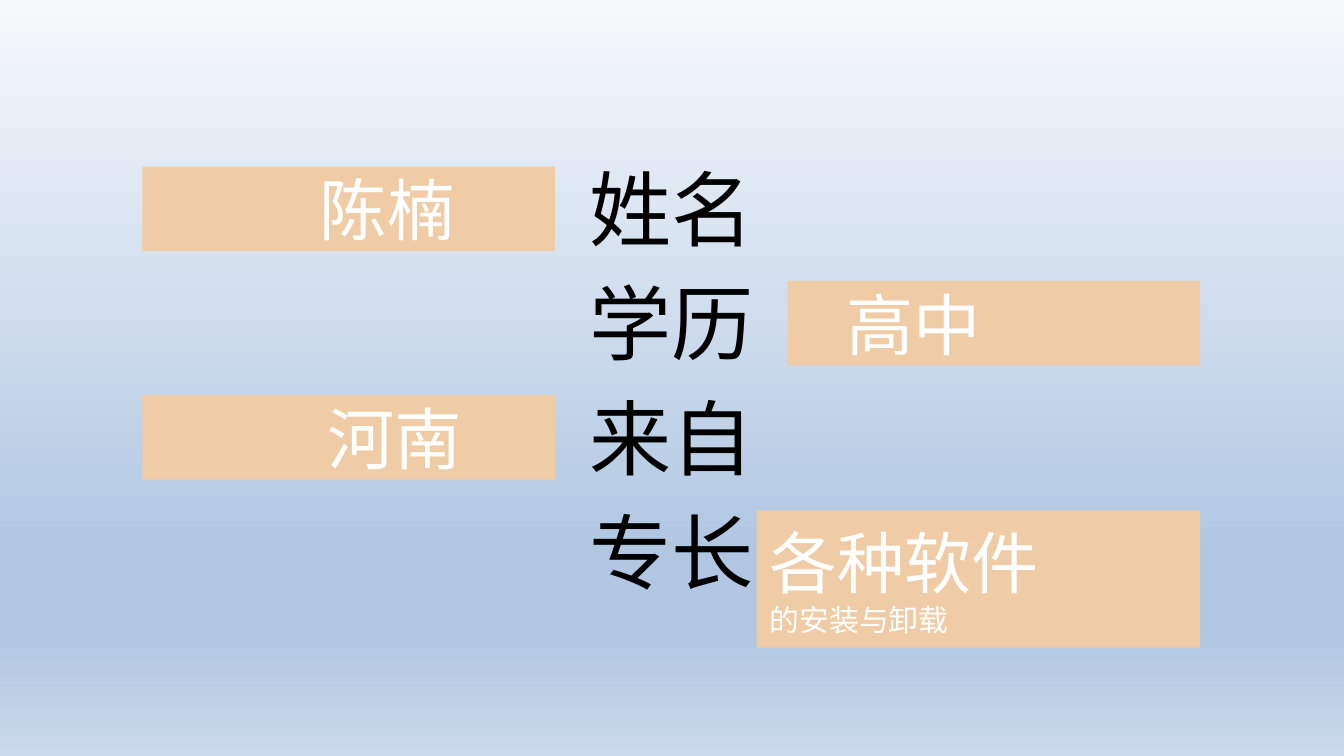
from dataclasses import dataclass

import pptx
import pptx.dml.color
import pptx.enum.shapes
import pptx.enum.text
import pptx.oxml
import pptx.oxml.ns
import pptx.slide
import pptx.text.text
import pptx.util
from lxml import etree

Inches = pptx.util.Inches
Align = pptx.enum.text.PP_ALIGN
qn = pptx.oxml.ns.qn

COLORS = {"panel": "EFCCA5", "answer": "FFFFFF", "label": "000000"}
BACKGROUND_STOPS = {0: "F6F9FC", 74: "B0C6E1", 83: "B0C6E1", 100: "CAD9EB"}
CJK_FONT = "Noto Sans CJK JP"
INSET = 0.1
LABEL_LEFT, LABEL_TOP, LABEL_PITCH = 4.29, 1.13, 0.85


@dataclass
class Answer:
    lines: list[tuple[str, int]]  # text and point size
    left: float
    top: float
    width: float = 3.07
    height: float = 0.63
    indent: float = 0
    align: Align = Align.LEFT


LABELS = ["姓名", "学历", "来自", "专长"]
ANSWERS = [
    Answer([("各种软件", 36), ("的安装与卸载", 16)], 5.63, 3.8, 3.3, 1.02),
    Answer([("河南", 36)], 1.06, 2.94, indent=0.68, align=Align.CENTER),
    Answer([("高中", 36)], 5.86, 2.09, indent=0.34),
    Answer([("陈楠", 36)], 1.06, 1.24, indent=0.57, align=Align.CENTER),
]


def paint_background(slide: pptx.slide.Slide) -> None:
    fill = slide.background.fill
    fill.gradient()
    fill.gradient_angle = 270  # top to bottom
    stops = slide.element.find(".//" + qn("a:gsLst"))
    for stop in list(stops):
        stops.remove(stop)
    for percent, color in BACKGROUND_STOPS.items():
        stop = etree.SubElement(stops, qn("a:gs"), pos=str(percent * 1000))
        etree.SubElement(stop, qn("a:srgbClr"), val=color)


def add_run(paragraph: pptx.text.text._Paragraph, text: str, size: int,
            font: str, color: str) -> None:
    run = paragraph.add_run()
    run.text = text
    run.font.size = pptx.util.Pt(size)
    run.font.name = font
    run.font.color.rgb = pptx.dml.color.RGBColor.from_string(COLORS[color])
    etree.SubElement(run.font._element, qn("a:ea"), typeface=CJK_FONT)


def add_answer(slide: pptx.slide.Slide, answer: Answer) -> None:
    panel = slide.shapes.add_shape(
        pptx.enum.shapes.MSO_SHAPE.RECTANGLE, Inches(answer.left),
        Inches(answer.top), Inches(answer.width), Inches(answer.height))
    panel.shadow.inherit = False
    panel.fill.solid()
    panel.fill.fore_color.rgb = pptx.dml.color.RGBColor.from_string(COLORS["panel"])
    panel.line.fill.background()
    frame = panel.text_frame
    frame.word_wrap = True
    frame.vertical_anchor = pptx.enum.text.MSO_ANCHOR.MIDDLE
    frame.margin_left = Inches(INSET + answer.indent)
    for index, (text, size) in enumerate(answer.lines):
        paragraph = frame.add_paragraph() if index else frame.paragraphs[0]
        paragraph.alignment = answer.align
        add_run(paragraph, text, size, "Calibri", "answer")


def add_label(slide: pptx.slide.Slide, text: str, row: int) -> None:
    label = slide.shapes.add_textbox(
        Inches(LABEL_LEFT), Inches(LABEL_TOP + row * LABEL_PITCH),
        Inches(1.5), Inches(0.84))
    label.text_frame.word_wrap = True
    label.text_frame.auto_size = pptx.enum.text.MSO_AUTO_SIZE.SHAPE_TO_FIT_TEXT
    add_run(label.text_frame.paragraphs[0], text, 44, CJK_FONT, "label")


def main() -> None:
    deck = pptx.Presentation()
    deck.slide_width = Inches(10)
    deck.slide_height = deck.slide_width * 9 // 16
    slide = deck.slides.add_slide(deck.slide_layouts[6])
    paint_background(slide)

    # Answers lie behind the central column of labels
    for answer in ANSWERS:
        add_answer(slide, answer)
    for row, text in enumerate(LABELS):
        add_label(slide, text, row)

    deck.save("out.pptx")


if __name__ == "__main__":
    main()
